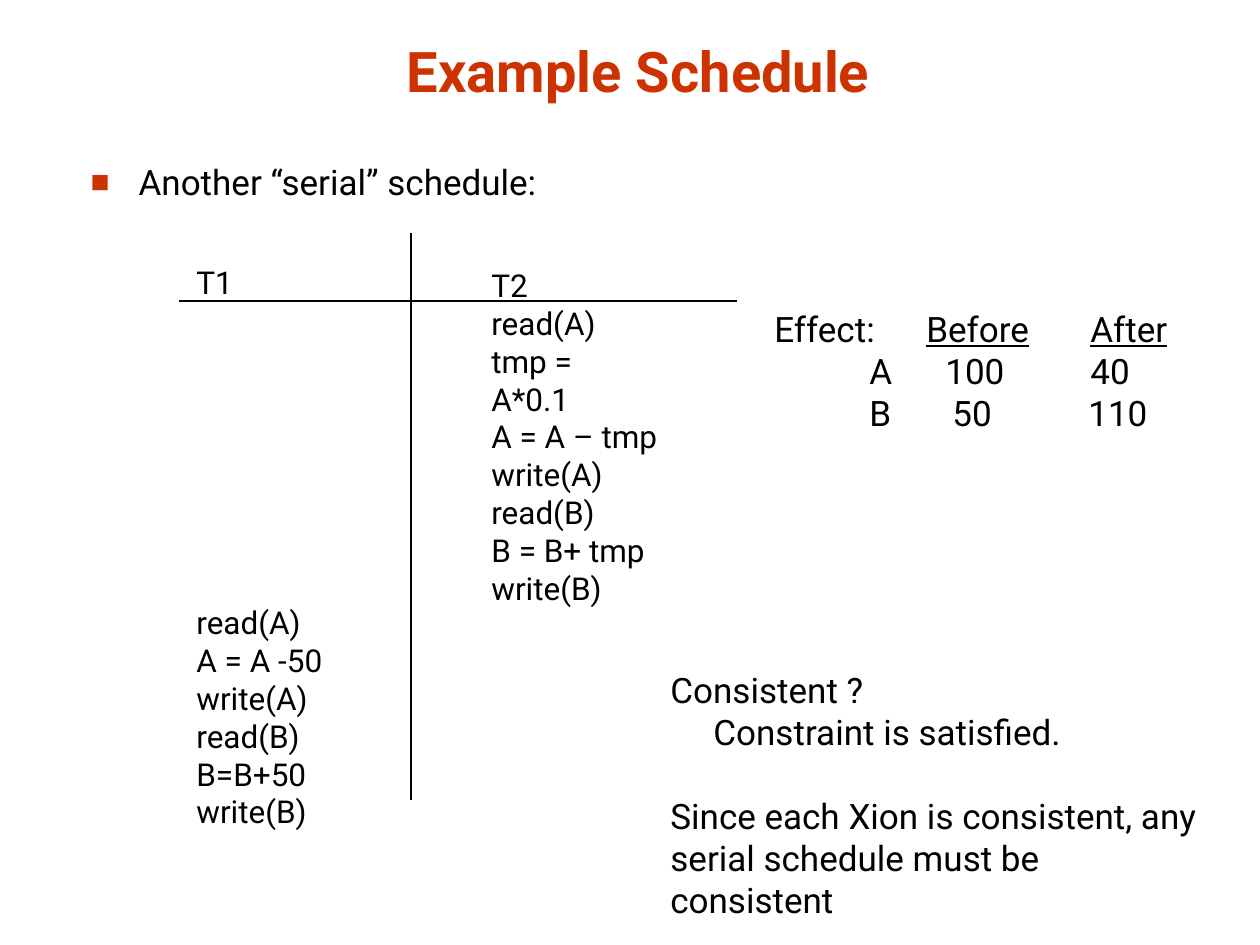
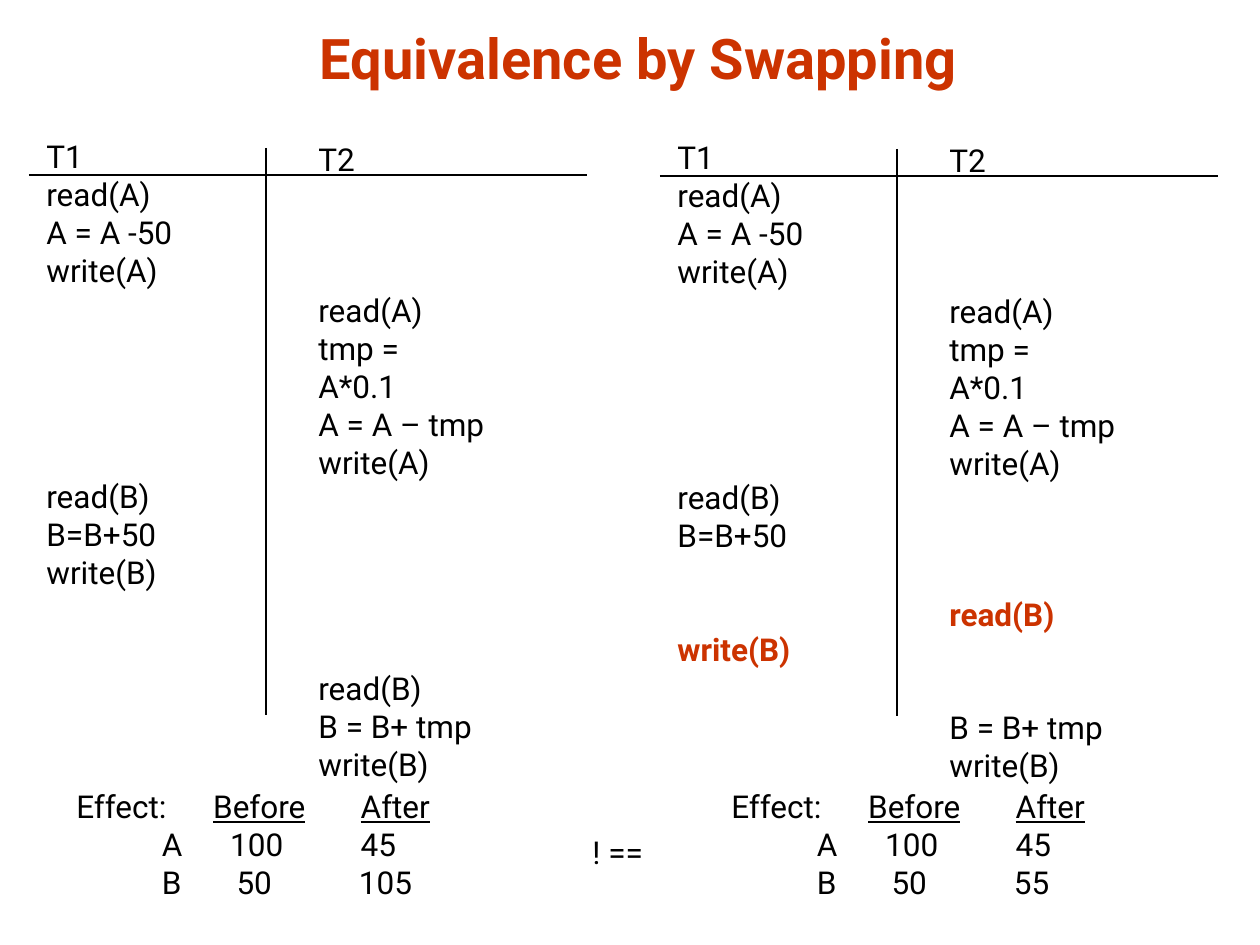
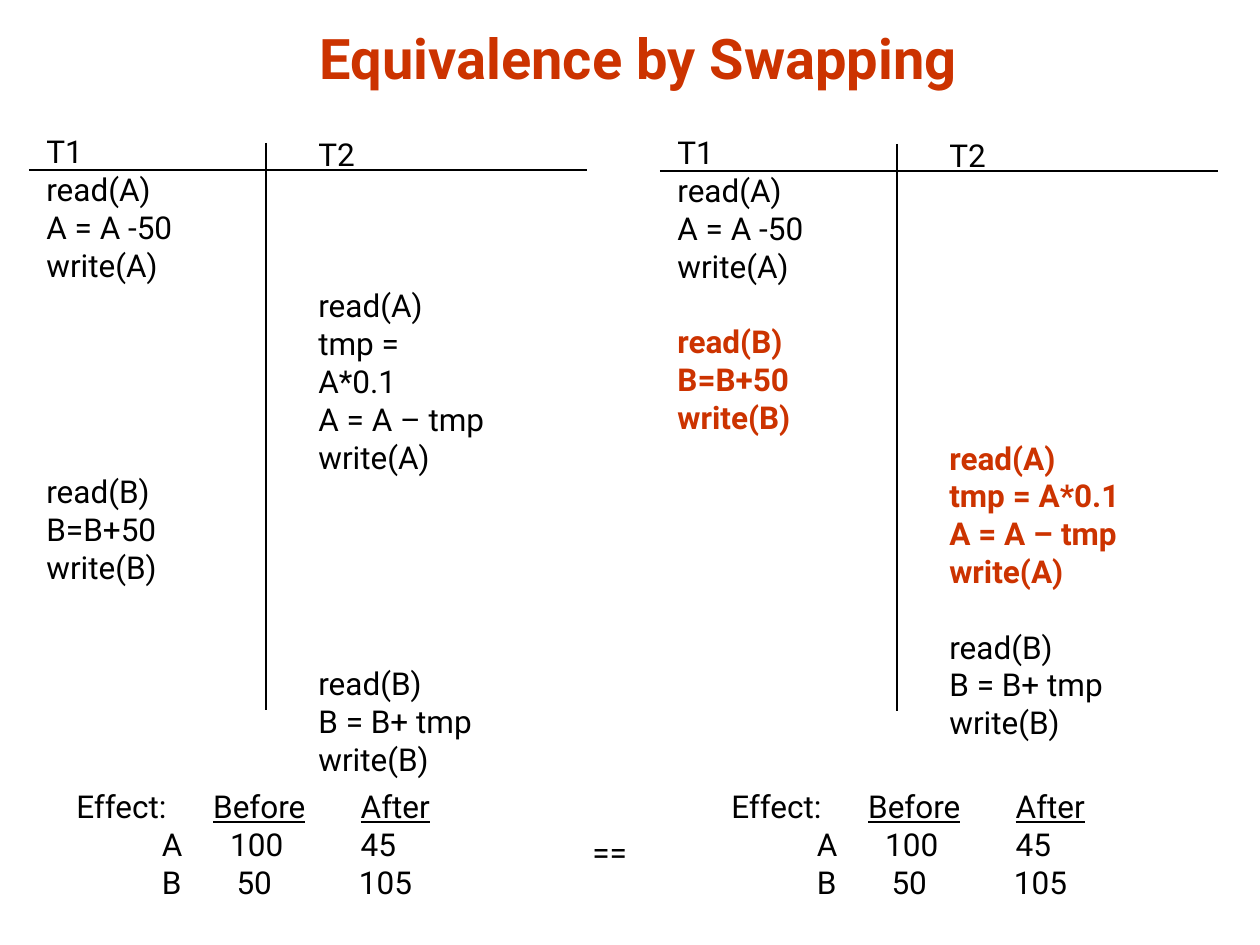
from lxml import etree
from pptx import Presentation, util as u
from pptx.dml.color import RGBColor
from pptx.enum import shapes, text
from pptx.oxml.ns import qn

ACCENT = RGBColor(0xCC, 0x33, 0x00)
BLACK = RGBColor(0, 0, 0)
FONT = "Roboto"
PX_PER_INCH = 126
LINE_RATIO = 1.2


def px(n):
    return u.Emu(round(n * 914400 / PX_PER_INCH))


def paragraph_xml(p, tag, **attrs):
    """Append one child element to the paragraph's properties."""
    parent = p._p.get_or_add_pPr()
    return etree.SubElement(parent, qn(tag), attrs)


class Deck:
    def __init__(self):
        self.prs = Presentation()
        self.prs.slide_width, self.prs.slide_height = px(1260), px(945)
        self.slide = None

    def add_slide(self, title, top, layout=5):
        self.slide = self.prs.slides.add_slide(self.prs.slide_layouts[layout])
        tf = self.place(self.slide.shapes.title, 82, top, 1113, 84)
        tf.vertical_anchor = text.MSO_ANCHOR.BOTTOM
        p = tf.paragraphs[0]
        p.text = title
        p.alignment = text.PP_ALIGN.CENTER
        self.style(p, 32, ACCENT, True)

    def place(self, sp, x, y, w, h):
        sp.left, sp.top, sp.width, sp.height = map(px, (x, y, w, h))
        tf = sp.text_frame
        tf.word_wrap = True
        tf.auto_size = text.MSO_AUTO_SIZE.NONE
        return tf

    def style(self, p, size, color=BLACK, bold=False):
        f = p.font
        f.name, f.size, f.bold = FONT, u.Pt(size), bold
        f.color.rgb = color

    def bullet(self, words, x, y, w, h):
        tf = self.place(self.slide.placeholders[1], x, y, w, h)
        p = tf.paragraphs[0]
        p.text = words
        indent = px(48)
        pPr = p._p.get_or_add_pPr()
        pPr.set("marL", str(indent))
        pPr.set("indent", str(-indent))
        color = paragraph_xml(p, "a:buClr")
        etree.SubElement(color, qn("a:srgbClr"), val=str(ACCENT))
        paragraph_xml(p, "a:buSzPct", val="90000")
        paragraph_xml(p, "a:buFont", typeface="Arial")
        paragraph_xml(p, "a:buChar", char="■")
        p.space_before = u.Pt(0)
        self.style(p, 20)

    def textbox(self, x, y, w, h):
        sp = self.slide.shapes.add_textbox(0, 0, 0, 0)
        tf = self.place(sp, x, y, w, h)
        tf.margin_right = 0
        return tf

    def lines(self, x, y, w, h, items, size=18, hot=(), indented=()):
        """Stack lines; a number skips that many lines, hot lines are accented."""
        tf = self.textbox(x, y, w, h)
        gap = count = 0
        for item in items:
            if isinstance(item, int):
                gap = item
                continue
            p = tf.paragraphs[0] if count == 0 else tf.add_paragraph()
            p.text = item
            if count in indented:
                p._p.get_or_add_pPr().set("marL", str(px(43)))
            if gap:
                p.space_before = u.Pt(round(gap * size * LINE_RATIO, 1))
            is_hot = count in hot
            self.style(p, size, ACCENT if is_hot else BLACK, is_hot)
            gap, count = 0, count + 1

    def line(self, x1, y1, x2, y2):
        c = self.slide.shapes.add_connector(
            shapes.MSO_CONNECTOR.STRAIGHT, px(x1), px(y1), px(x2), px(y2))
        c.line.color.rgb = BLACK
        c.line.width = u.Pt(0.75)
        etree.SubElement(c._element.spPr, qn("a:effectLst"))

    def schedule(self, x, y, t1, t2, hot1=(), hot2=(), t2_dx=277, bar=(237, -27)):
        """Two transaction columns; x, y is the left end of the header rule."""
        for dx, dy, w, head, steps, hot in (
                (5, -44, 158, "T1", t1, hot1), (t2_dx, -41, 190, "T2", t2, hot2)):
            rows = 1 + sum(s if isinstance(s, int) else 1 + s.count("\n") for s in steps)
            hot = [n + 1 for n in hot]
            self.lines(x + dx, y + dy, w, 13 + 38 * rows, [head, *steps], hot=hot)
        self.line(x, y, x + 558, y)
        bar_x, bar_y = x + bar[0], y + bar[1]
        self.line(bar_x, bar_y, bar_x, bar_y + 567)

    def effect(self, x, y, w, h, after_a, after_b, size=18):
        tf = self.textbox(x, y, w, h)
        rows = ((("Effect:", "Before", "After"), (152, 316)),
                (("", "A", "100", after_a), (95, 171, 316)),
                (("", "B", "50", after_b), (95, 178, 314)))
        for i, (cells, stops) in enumerate(rows):
            p = tf.add_paragraph() if i else tf.paragraphs[0]
            tabs = paragraph_xml(p, "a:tabLst")
            for stop in stops:
                etree.SubElement(tabs, qn("a:tab"), pos=str(px(stop * size / 20)), algn="l")
            self.style(p, size)
            for j, cell in enumerate(cells):
                if j:
                    p.add_run().text = "\t"
                if cell:
                    r = p.add_run()
                    r.text = cell
                    if i == 0 and j:
                        r.font.underline = True


READ_A, WRITE_A, READ_B, WRITE_B = "read(A)", "write(A)", "read(B)", "write(B)"
T1_A = [READ_A, "A = A -50", WRITE_A]
T1_B = [READ_B, "B=B+50", WRITE_B]
T2_A = [READ_A, "tmp =\nA*0.1", "A = A – tmp", WRITE_A]
T2_A_ONE_LINE = [READ_A, "tmp = A*0.1", "A = A – tmp", WRITE_A]
T2_B = [READ_B, "B = B+ tmp", WRITE_B]
LEFT, RIGHT = 29, 660


def serial_slide(deck):
    deck.add_slide("Example Schedule", 26, layout=1)
    deck.bullet("Another “serial” schedule:", 78, 154, 1081, 91)
    deck.schedule(179, 301, [8, *T1_A, *T1_B], T2_A + T2_B, t2_dx=300, bar=(232, -68))
    deck.lines(658, 662, 545, 223, [
        "Consistent ?", "Constraint is satisfied.", 1,
        "Since each Xion is consistent, any", "serial schedule must be consistent",
    ], size=20, indented=[1])
    deck.effect(762, 301, 426, 180, "40", "110", size=20)


def swapping_slide(deck, y, right, relation, after_b):
    """Compare the interleaved schedule on the left with a swapped one."""
    deck.add_slide("Equivalence by Swapping", 13)
    deck.schedule(LEFT, y, [*T1_A, 5, *T1_B], [3, *T2_A, 5, *T2_B])
    deck.schedule(RIGHT, y + 1, **right)
    deck.effect(64, 781, 388, 164, "45", "105")
    deck.effect(719, 781, 388, 164, "45", after_b)
    deck.lines(580, 827, 79, 50, [relation])


def main():
    deck = Deck()
    serial_slide(deck)
    swapping_slide(deck, 175, dict(
        t1=[*T1_A, 5, *T1_B[:2], 2, WRITE_B], hot1=[5],
        t2=[3, *T2_A, 3, READ_B, 2, *T2_B[1:]], hot2=[4]), "! ==", "55")
    swapping_slide(deck, 170, dict(
        t1=[*T1_A, 1, *T1_B], hot1=range(3, 6),
        t2=[7, *T2_A_ONE_LINE, 1, *T2_B], hot2=range(4)), "==", "105")
    deck.prs.save("out.pptx")


if __name__ == "__main__":
    main()
